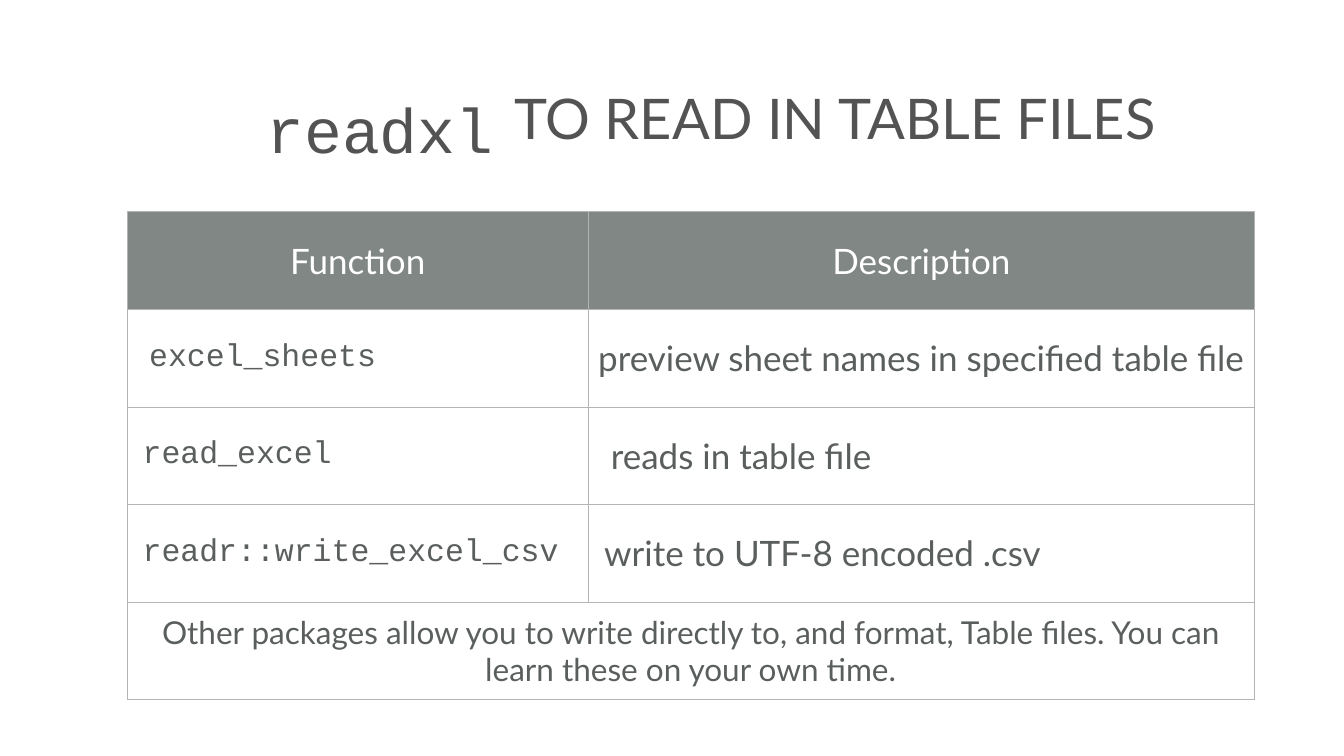
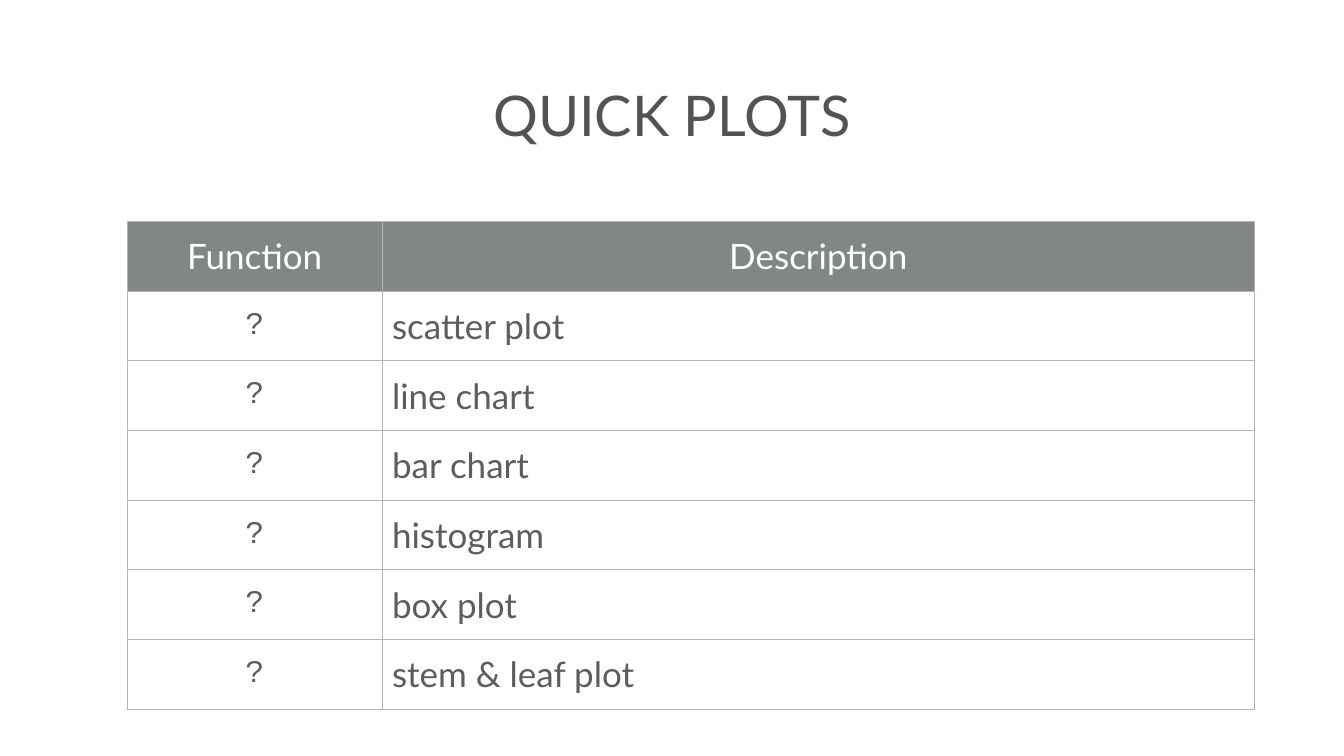
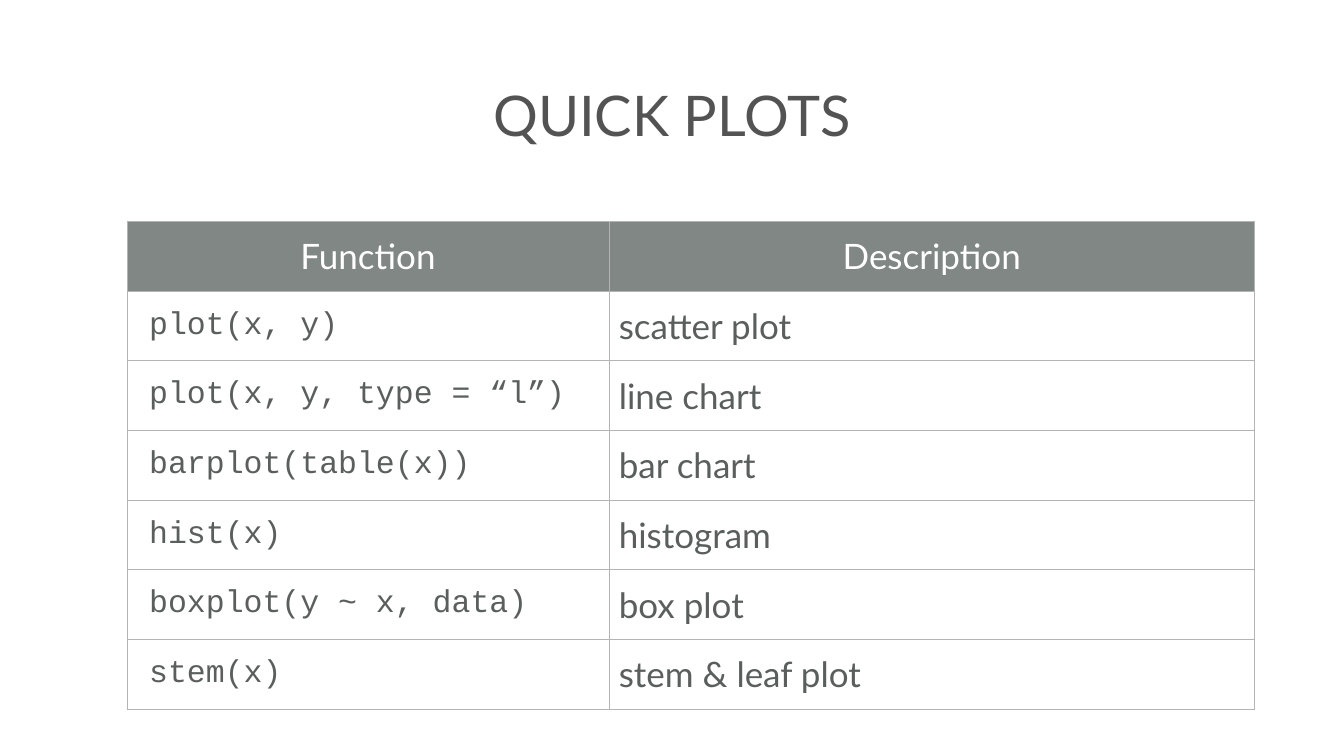
from dataclasses import dataclass

import pptx
import pptx.dml.color
import pptx.enum.text
import pptx.oxml
import pptx.oxml.ns
import pptx.util
from pptx.util import Inches

ALIGN = pptx.enum.text.PP_ALIGN
MIDDLE = pptx.enum.text.MSO_ANCHOR.MIDDLE


@dataclass(frozen=True)
class Theme:
    title_color: str = "535353"
    body_color: str = "5A5F5E"
    header_color: str = "FFFFFF"
    header_fill: str = "808785"
    border_color: str = "B4B4B4"
    background: str = "FFFFFF"
    text_font: str = "Lato"
    code_font: str = "Courier New"
    title_size: int = 80
    package_size: int = 90
    text_size: int = 50
    code_size: int = 45
    note_size: int = 45
    border_width: int = 1
    inset: float = 0.06
    code_indent: float = 0.38
    text_indent: float = 0.13
    level_indent: float = 0.25


THEME = Theme()
TABLE_LEFT, TABLE_WIDTH, TABLE_HEIGHT = 2.52, 22.37, 9.68
HEADINGS = ("Function", "Description")
PLOTS = [
    ("plot(x, y)", "scatter plot"),
    ("plot(x, y, type = “l”)", "line chart"),
    ("barplot(table(x))", "bar chart"),
    ("hist(x)", "histogram"),
    ("boxplot(y ~ x, data)", "box plot"),
    ("stem(x)", "stem & leaf plot"),
]
SHEET_FUNCTIONS = [
    ("excel_sheets", "preview sheet names in specified table file"),
    ("read_excel", "reads in table file"),
    ("readr::write_excel_csv", "write to UTF-8 encoded .csv"),
]
SHEET_INDENTS = [
    (THEME.code_indent, THEME.text_indent),
    (THEME.level_indent, THEME.level_indent + THEME.text_indent),
    (THEME.level_indent, THEME.level_indent),
]
PACKAGE_NOTE = (
    "Other packages allow you to write directly to, and format, Table files. "
    "You can learn these on your own time."
)


def rgb(color):
    return pptx.dml.color.RGBColor.from_string(color)


def set_text(tf, text, font, size, color, align=ALIGN.LEFT):
    tf.text = text
    p = tf.paragraphs[0]
    p.alignment = align
    r = p.runs[0]
    r.font.name = font
    r.font.size = pptx.util.Pt(size)
    r.font.bold = False
    r.font.color.rgb = rgb(color)


def set_insets(target, left=THEME.inset, top=THEME.inset):
    target.margin_left = Inches(left)
    target.margin_top = Inches(top)
    target.margin_right = target.margin_bottom = Inches(THEME.inset)
    target.vertical_anchor = MIDDLE


def add_slide(prs, title, left=0.73, top=0.39, width=25.21, align=ALIGN.CENTER):
    s = prs.slides.add_slide(prs.slide_layouts[5])
    s.background.fill.solid()
    s.background.fill.fore_color.rgb = rgb(THEME.background)
    sp = s.shapes.title
    sp.left, sp.top = Inches(left), Inches(top)
    sp.width, sp.height = Inches(width), Inches(3.75)
    tf = sp.text_frame
    tf.auto_size = pptx.enum.text.MSO_AUTO_SIZE.NONE
    tf.word_wrap = True
    set_insets(tf)
    set_text(tf, title, THEME.text_font, THEME.title_size, THEME.title_color, align)
    return s


def add_package_name(s, name):
    sp = s.shapes.add_textbox(Inches(5.23), Inches(0.33), Inches(5.85), Inches(3.75))
    tf = sp.text_frame
    tf.word_wrap = True
    set_insets(tf, top=0.44)
    set_text(tf, name, THEME.code_font, THEME.package_size, THEME.title_color)
    tf.paragraphs[0].line_spacing = 1.2


def set_borders(cell):
    tc_pr = cell._tc.get_or_add_tcPr()
    width = pptx.util.Pt(THEME.border_width)
    for side in "LRTB":
        tc_pr.append(pptx.oxml.parse_xml(
            f'<a:ln{side} {pptx.oxml.ns.nsdecls("a")} w="{width}"><a:solidFill>'
            f'<a:srgbClr val="{THEME.border_color}"/></a:solidFill></a:ln{side}>'
        ))


def fill_header(table):
    for cell, heading in zip(table.rows[0].cells, HEADINGS):
        cell.fill.solid()
        cell.fill.fore_color.rgb = rgb(THEME.header_fill)
        set_text(cell.text_frame, heading, THEME.text_font, THEME.text_size,
                 THEME.header_color, ALIGN.CENTER)


def add_function_table(s, top, code_width, entries, indents=None, note=None,
                       code_align=ALIGN.LEFT):
    row_count = 1 + len(entries) + bool(note)
    table = s.shapes.add_table(
        row_count, 2, Inches(TABLE_LEFT), Inches(top),
        Inches(TABLE_WIDTH), Inches(TABLE_HEIGHT)).table
    table.horz_banding = False
    table.columns[0].width = Inches(code_width)
    table.columns[1].width = Inches(TABLE_WIDTH - code_width)
    for row in table.rows:
        row.height = Inches(TABLE_HEIGHT / row_count)
    for cell in table.iter_cells():
        set_insets(cell)
        set_borders(cell)
        cell.fill.background()
    fill_header(table)

    indents = indents or [(THEME.code_indent, THEME.text_indent)] * len(entries)
    styles = [(THEME.code_font, THEME.code_size, code_align),
              (THEME.text_font, THEME.text_size, ALIGN.LEFT)]
    for i, (entry, row_indents) in enumerate(zip(entries, indents), 1):
        cells = table.rows[i].cells
        for cell, text, indent, (font, size, align) in zip(cells, entry, row_indents, styles):
            if align == ALIGN.LEFT:
                cell.margin_left = Inches(THEME.inset + indent)
            set_text(cell.text_frame, text, font, size, THEME.body_color, align)

    if note:
        cell = table.cell(row_count - 1, 0)
        cell.merge(table.cell(row_count - 1, 1))
        set_text(cell.text_frame, note, THEME.text_font, THEME.note_size,
                 THEME.body_color, ALIGN.CENTER)


def main():
    prs = pptx.Presentation()
    prs.slide_width, prs.slide_height = Inches(26.67), Inches(15)

    s = add_slide(prs, "TO READ IN TABLE FILES", 10.15, 0.45, 20.98, ALIGN.LEFT)
    add_package_name(s, "readxl")
    add_function_table(s, 4.2, 9.16, SHEET_FUNCTIONS, SHEET_INDENTS, PACKAGE_NOTE)

    s = add_slide(prs, "QUICK PLOTS")
    questions = [("?", description) for _, description in PLOTS]
    add_function_table(s, 4.39, 5.07, questions, code_align=ALIGN.CENTER)

    s = add_slide(prs, "QUICK PLOTS")
    add_function_table(s, 4.39, 9.57, PLOTS)

    prs.save("out.pptx")


if __name__ == "__main__":
    main()
